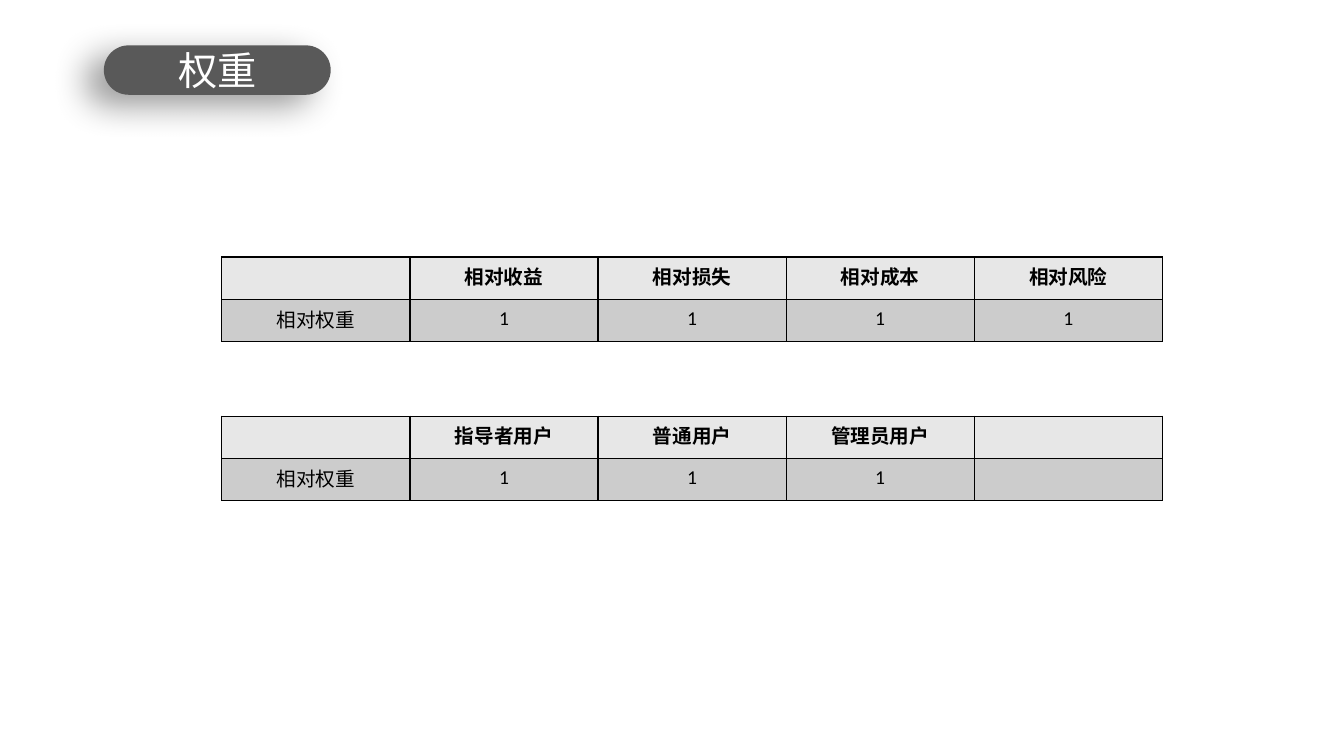
"""Builds the slide with the two weighting tables."""
from lxml import etree
from pptx import Presentation
from pptx.dml.color import RGBColor
from pptx.enum.shapes import MSO_SHAPE as Shape
from pptx.enum.text import MSO_ANCHOR as Anchor, PP_ALIGN as Align
from pptx.oxml import parse_xml
from pptx.oxml.ns import qn
from pptx.util import Inches, Pt

COLORS = {
    "white": "FFFFFF",
    "black": "000000",
    "badge": "595959",
    "header": "E7E7E7",
    "body": "CCCCCC",
}
DRAWING_NS = "http://schemas.openxmlformats.org/drawingml/2006/main"


class SlideBuilder:
    def __init__(self, slide, font_name):
        self.slide = slide
        self.font_name = font_name

    def color(self, name):
        return RGBColor.from_string(COLORS[name])

    def set_text(self, frame, text, size, color, bold=False):
        frame.text = text
        para = frame.paragraphs[0]
        para.alignment = Align.CENTER
        for span in para.runs:
            span.font.name = self.font_name
            span.font.size = Pt(size)
            span.font.bold = bold
            span.font.color.rgb = self.color(color)

    def add_shadow(self, box, blur, distance, angle, opacity):
        box.shadow.inherit = False
        effects = box._element.spPr.find(qn("a:effectLst"))
        shadow = etree.SubElement(
            effects, qn("a:outerShdw"), blurRad=str(Pt(blur)),
            dist=str(Pt(distance)), dir=str(angle * 60000),
            algn="tr", rotWithShape="0")
        tint = etree.SubElement(shadow, qn("a:srgbClr"), val=COLORS["black"])
        etree.SubElement(tint, qn("a:alpha"), val=str(opacity * 1000))

    def add_badge(self, text, left, top, width, height):
        box = self.slide.shapes.add_shape(
            Shape.ROUNDED_RECTANGLE, Inches(left), Inches(top),
            Inches(width), Inches(height))
        box.adjustments[0] = 0.5
        box.fill.solid()
        box.fill.fore_color.rgb = self.color("badge")
        box.line.fill.background()
        self.add_shadow(box, blur=25, distance=15, angle=150, opacity=40)
        box.text_frame.vertical_anchor = Anchor.MIDDLE
        self.set_text(box.text_frame, text, 28, "white")

    def add_borders(self, cell):
        properties = cell._tc.get_or_add_tcPr()
        for index, side in enumerate("LRTB"):
            properties.insert(index, parse_xml(
                f'<a:ln{side} xmlns:a="{DRAWING_NS}" w="{Pt(1)}"><a:solidFill>'
                f'<a:srgbClr val="{COLORS["black"]}"/></a:solidFill></a:ln{side}>'))

    def add_table(self, rows, left, top, width, row_height):
        column_count = len(rows[0])
        table = self.slide.shapes.add_table(
            len(rows), column_count, Inches(left), Inches(top),
            Inches(width), Inches(row_height * len(rows))).table
        for column in table.columns:
            column.width = Inches(width / column_count)
        for row_index, texts in enumerate(rows):
            is_header = row_index == 0
            table.rows[row_index].height = Inches(row_height)
            for column_index, text in enumerate(texts):
                cell = table.cell(row_index, column_index)
                cell.margin_left = cell.margin_right = Inches(0.01)
                cell.margin_top = Inches(0.01)
                cell.margin_bottom = Inches(0.05)
                cell.vertical_anchor = Anchor.MIDDLE
                cell.fill.solid()
                cell.fill.fore_color.rgb = self.color("header" if is_header else "body")
                self.add_borders(cell)
                if text:
                    self.set_text(cell.text_frame, text, 14, "black", is_header)


def main():
    deck = Presentation()
    deck.slide_width = Inches(13.33)
    deck.slide_height = Inches(7.5)
    page = SlideBuilder(deck.slides.add_slide(deck.slide_layouts[6]), "Calibri")
    page.add_badge("权重", 1.03, 0.45, 2.25, 0.49)

    factor_weights = [
        ["", "相对收益", "相对损失", "相对成本", "相对风险"],
        ["相对权重", "1", "1", "1", "1"],
    ]
    user_weights = [
        ["", "指导者用户", "普通用户", "管理员用户", ""],
        ["相对权重", "1", "1", "1", ""],
    ]
    for rows, top in ((factor_weights, 2.55), (user_weights, 4.13)):
        page.add_table(rows, left=2.2, top=top, width=9.33, row_height=0.42)
    deck.save("out.pptx")


if __name__ == "__main__":
    main()
